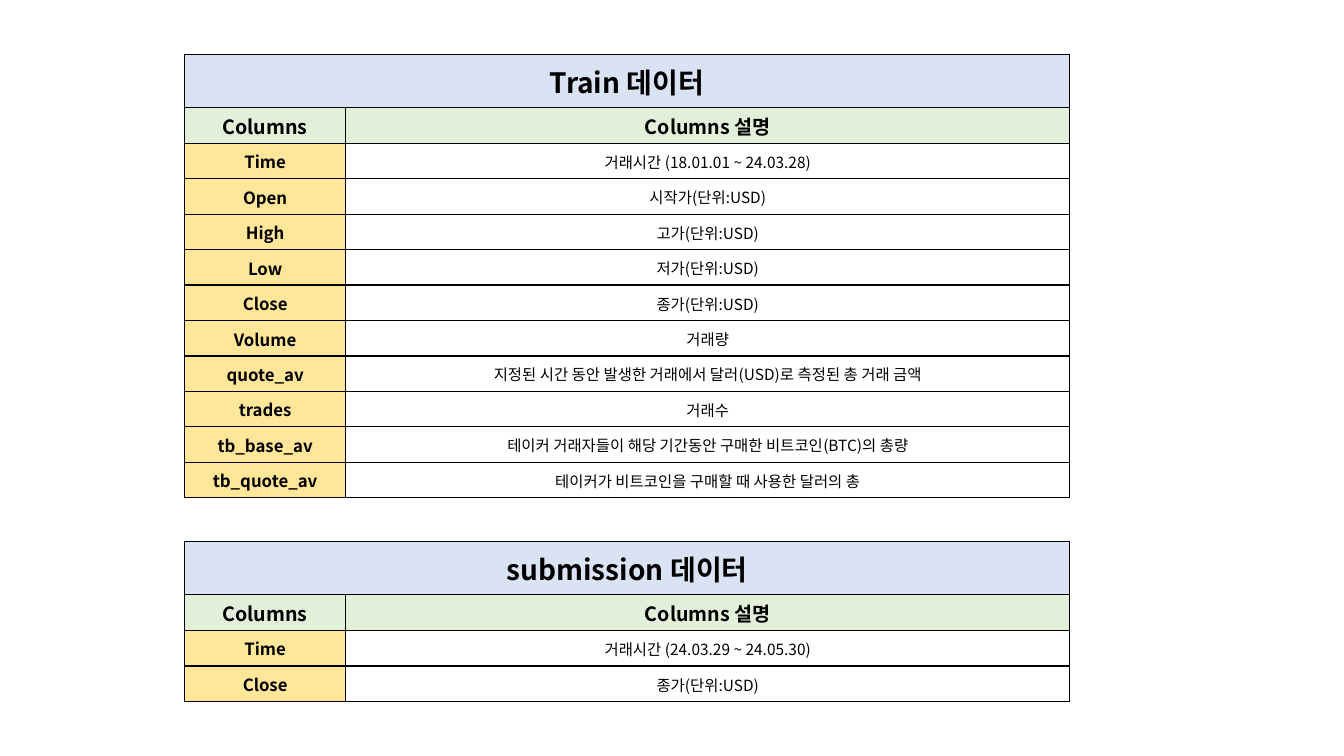
from lxml import etree
from pptx import Presentation
from pptx.dml.color import RGBColor
from pptx.enum.text import MSO_ANCHOR, PP_ALIGN
from pptx.oxml.ns import qn
from pptx.util import Inches, Pt

CENTER = PP_ALIGN.CENTER
MIDDLE = MSO_ANCHOR.MIDDLE

BLACK = RGBColor(0x00, 0x00, 0x00)
WHITE = RGBColor(0xFF, 0xFF, 0xFF)
BLUE = RGBColor(0xDA, 0xE3, 0xF3)
GREEN = RGBColor(0xE2, 0xF0, 0xD9)
YELLOW = RGBColor(0xFF, 0xE6, 0x99)

HEADER = ("Columns", "Columns 설명")
TRAIN_ROWS = [
    ("Time", "거래시간 (18.01.01 ~ 24.03.28)"),
    ("Open", "시작가(단위:USD)"),
    ("High", "고가(단위:USD)"),
    ("Low", "저가(단위:USD)"),
    ("Close", "종가(단위:USD)"),
    ("Volume", "거래량"),
    ("quote_av", "지정된 시간 동안 발생한 거래에서 달러(USD)로 측정된 총 거래 금액"),
    ("trades", "거래수"),
    ("tb_base_av", "테이커 거래자들이 해당 기간동안 구매한 비트코인(BTC)의 총량"),
    ("tb_quote_av", "테이커가 비트코인을 구매할 때 사용한 달러의 총"),
]
SUBMISSION_ROWS = [
    ("Time", "거래시간 (24.03.29 ~ 24.05.30)"),
    ("Close", "종가(단위:USD)"),
]


class SlideBuilder:
    font = "Noto Sans CJK KR"
    left = 1.83
    col_widths = (1.6, 7.18)
    title_height = 0.53

    def __init__(self, slide):
        self.slide = slide

    def borders(self, cell):
        tcPr = cell._tc.get_or_add_tcPr()
        for side in ("a:lnL", "a:lnR", "a:lnT", "a:lnB"):
            ln = etree.SubElement(tcPr, qn(side), w=str(Pt(1)))
            fill = etree.SubElement(ln, qn("a:solidFill"))
            etree.SubElement(fill, qn("a:srgbClr"), val=str(BLACK))

    def cell(self, cell, text, size, color, bold=True):
        self.borders(cell)
        cell.fill.solid()
        cell.fill.fore_color.rgb = color
        cell.vertical_anchor = MIDDLE
        cell.margin_left = cell.margin_right = cell.margin_top = Inches(0.01)
        cell.margin_bottom = 0
        p = cell.text_frame.paragraphs[0]
        p.text = text
        p.alignment = CENTER
        for r in p.runs:
            r.font.name = self.font
            r.font.size = Pt(size)
            r.font.bold = bold
            r.font.color.rgb = BLACK
            etree.SubElement(r._r.get_or_add_rPr(), qn("a:ea"), typeface=self.font)

    def table(self, title, rows, top, height):
        """Add a table with a merged title row, a header row and data rows."""
        lines = [HEADER, *rows]
        table = self.slide.shapes.add_table(
            len(lines) + 1, 2, Inches(self.left), Inches(top),
            Inches(sum(self.col_widths)), Inches(height)).table
        for column, width in zip(table.columns, self.col_widths):
            column.width = Inches(width)
        for row in table.rows:
            row.height = Inches((height - self.title_height) / len(lines))
        table.rows[0].height = Inches(self.title_height)

        table.cell(0, 0).merge(table.cell(0, 1))
        self.cell(table.cell(0, 0), title, 20, BLUE)
        self.borders(table.cell(0, 1))
        for i, (name, description) in enumerate(lines, 1):
            if i == 1:
                self.cell(table.cell(i, 0), name, 14, GREEN)
                self.cell(table.cell(i, 1), description, 14, GREEN)
            else:
                self.cell(table.cell(i, 0), name, 12, YELLOW)
                self.cell(table.cell(i, 1), description, 11, WHITE, bold=False)


def main():
    prs = Presentation()
    prs.slide_width = Inches(13.33)
    prs.slide_height = Inches(7.5)
    s = SlideBuilder(prs.slides.add_slide(prs.slide_layouts[6]))
    s.table("Train 데이터", TRAIN_ROWS, top=0.54, height=4.4)
    s.table("submission 데이터", SUBMISSION_ROWS, top=5.37, height=1.59)
    prs.save("out.pptx")


if __name__ == "__main__":
    main()
